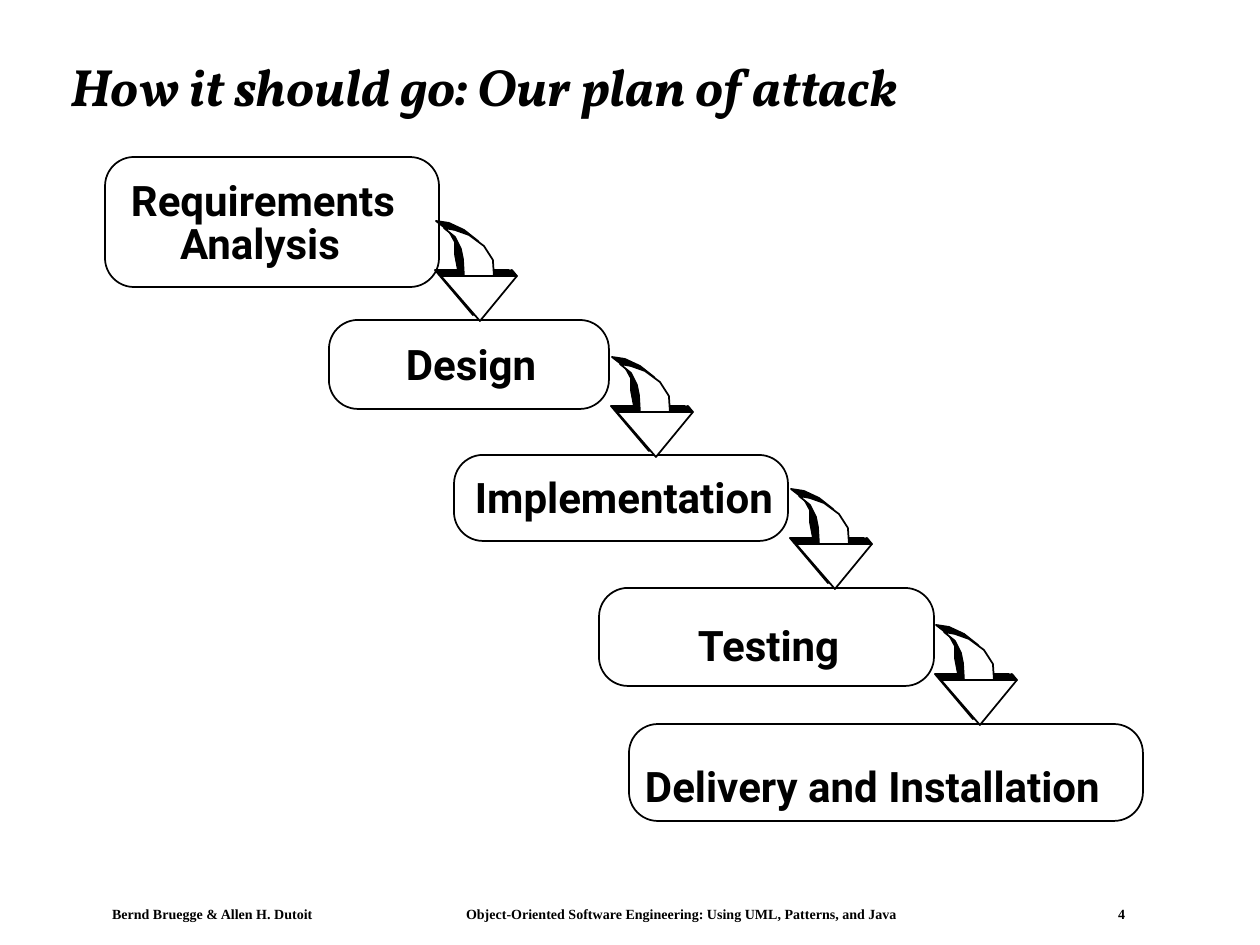
from lxml.etree import SubElement
from pptx import Presentation
from pptx.dml.color import RGBColor
from pptx.enum.shapes import MSO_SHAPE as Shape
from pptx.enum.text import MSO_ANCHOR as Anchor
from pptx.oxml.ns import qn
from pptx.util import Pt

SCALE = 914400 / 126
COLORS = {"ink": "000000", "paper": "FFFFFF"}
CORNER_RADIUS = 29

STEPS = [
    ((105, 157, 334, 130), [("Requirements", (131, 175, 280, 50)), ("Analysis", (180, 218, 173, 50))]),
    ((329, 320, 280, 89), [("Design", (406, 339, 140, 50))]),
    ((454, 455, 334, 86), [("Implementation", (475, 472, 310, 50))]),
    ((599, 588, 335, 98), [("Testing", (698, 620, 149, 50))]),
    ((629, 724, 514, 97), [("Delivery and Installation", (645, 761, 483, 50))]),
]

ARROW_ANCHORS = [(435, 270), (611, 406), (790, 538), (935, 674)]
ARROW_PARTS = [
    ("ink", [(0, 0), (74, 0), (38, 45)]),
    ("ink", [(54, 0), (50, -15), (43, -29), (29, -40), (14, -47),
             (1, -49), (14, -39), (20, -28), (20, -16), (23, 0)]),
    ("paper", [(6, 6), (82, 6), (45, 51)]),
    ("paper", [(59, 6), (58, -10), (49, -24), (34, -35), (20, -40),
               (9, -42), (20, -33), (26, -21), (28, -11), (29, 6)]),
    ("ink", [(82, 6), (77, 0), (59, 6)]),
]


def px(length):
    """Turn a length in px into EMU."""
    return round(length * SCALE)


def color(name):
    """Look up a named colour."""
    return RGBColor.from_string(COLORS[name])


def add_text(shapes, text, at, font="Roboto", size=24, italic=False, wrap=False,
             anchor=Anchor.TOP, insets=(0, 0, 0, 0), spacing=None, tabs=()):
    """Add a bold one-paragraph text box."""
    box = shapes.add_textbox(*map(px, at))
    frame = box.text_frame
    frame.word_wrap = wrap
    frame.vertical_anchor = anchor
    (frame.margin_left, frame.margin_top,
     frame.margin_right, frame.margin_bottom) = map(px, insets)
    para = frame.paragraphs[0]
    para.line_spacing = spacing
    if tabs:
        stops = SubElement(para._p.get_or_add_pPr(), qn("a:tabLst"))
        for position in tabs:
            SubElement(stops, qn("a:tab"), pos=str(px(position)), algn="l")
    span = para.add_run()
    span.text = text
    span.font.name = font
    span.font.size = Pt(size)
    span.font.bold = True
    span.font.italic = italic
    span.font.color.rgb = color("ink")


def outline(shape):
    """Give a shape a thin dark line and no shadow."""
    shape.shadow.inherit = False
    shape.line.color.rgb = color("ink")
    shape.line.width = Pt(1)


def add_step(page, at, labels):
    """Add a rounded box with its labels."""
    shapes = page.shapes.add_group_shape().shapes
    box = shapes.add_shape(Shape.ROUNDED_RECTANGLE, *map(px, at))
    box.adjustments[0] = CORNER_RADIUS / at[3]
    box.fill.background()
    outline(box)
    for text, place in labels:
        add_text(shapes, text, place)


def add_arrow(page, left, top):
    """Add a curved arrow with a raised look."""
    shapes = page.shapes.add_group_shape().shapes
    for fill, offsets in ARROW_PARTS:
        points = [(left + x, top + y) for x, y in offsets]
        builder = shapes.build_freeform(*points[0], scale=SCALE)
        builder.add_line_segments(points[1:], close=True)
        part = builder.convert_to_shape()
        part.fill.solid()
        part.fill.fore_color.rgb = color(fill)
        outline(part)


def main():
    """Build the slide and save it."""
    deck = Presentation()
    deck.slide_width, deck.slide_height = px(1260), px(945)
    page = deck.slides.add_slide(deck.slide_layouts[6])
    add_text(page.shapes, "Bernd Bruegge & Allen H. Dutoit\t"
             "Object-Oriented Software Engineering: Using UML, Patterns, and Java\t4",
             (98, 901, 1042, 26), font="Times New Roman", size=8, wrap=True,
             insets=(14, 5, 0, 5), tabs=(354, 1006))
    add_text(page.shapes, "How it should go: Our plan of attack", (58, 30, 1124, 118),
             font="Vollkorn", size=30, italic=True, wrap=True,
             anchor=Anchor.MIDDLE, insets=(13, 6, 13, 6), spacing=0.9)
    for at, labels in STEPS:
        add_step(page, at, labels)
    for left, top in ARROW_ANCHORS:
        add_arrow(page, left, top)
    deck.save("out.pptx")


if __name__ == "__main__":
    main()
